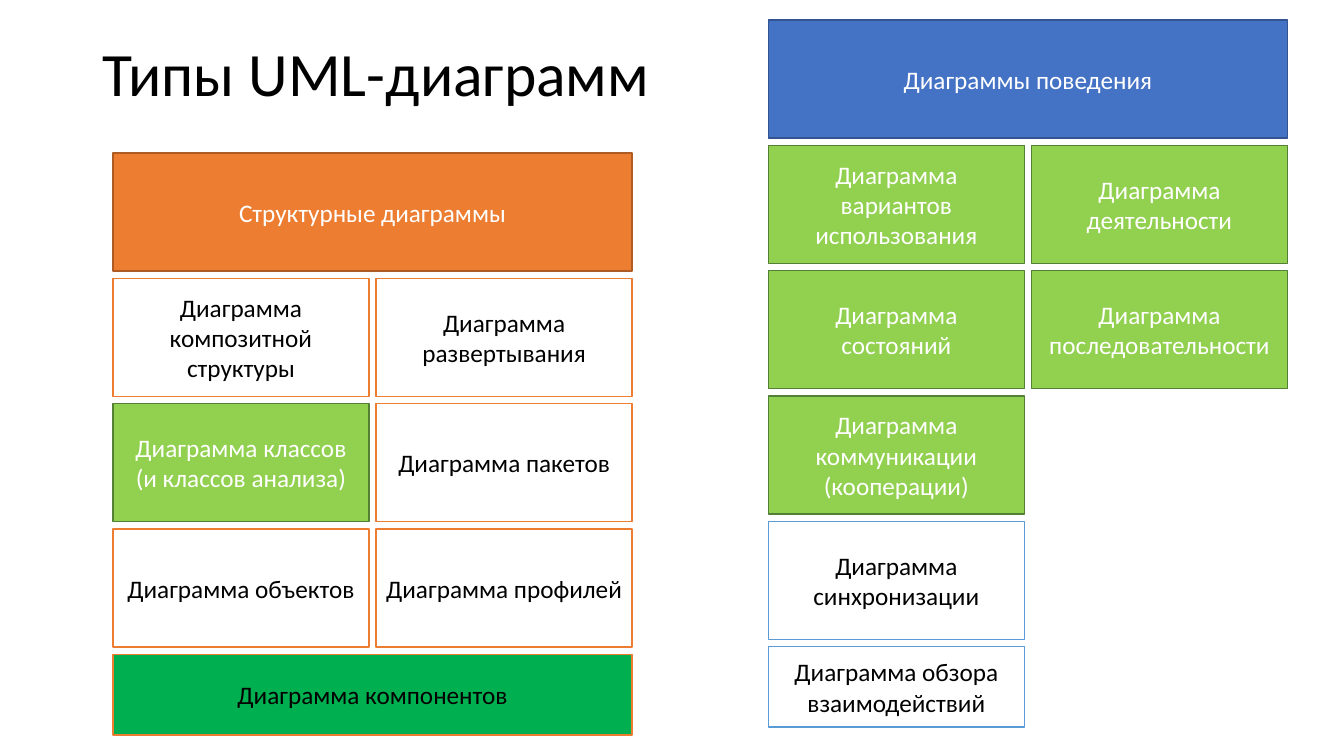
"""Builds a slide that sorts UML diagram types into structural and behavioural groups."""
from dataclasses import dataclass

from pptx import Presentation
from pptx.dml.color import RGBColor
from pptx.enum.shapes import MSO_SHAPE as Shape
from pptx.enum.text import MSO_ANCHOR as Anchor, PP_ALIGN as Align
from pptx.util import Inches, Pt


@dataclass(frozen=True)
class Theme:
    font: str = "Calibri"
    title_size: int = 44
    box_size: int = 18
    black: str = "000000"
    white: str = "FFFFFF"
    orange: str = "ED7D31"
    dark_orange: str = "AF5C24"
    blue: str = "4472C4"
    dark_blue: str = "325491"
    light_blue: str = "5B9BD5"
    lime: str = "92D050"
    dark_green: str = "538035"
    green: str = "00B050"


theme = Theme()


def write(frame, text, size, color, align):
    frame.text = text
    frame.word_wrap = True
    frame.vertical_anchor = Anchor.MIDDLE
    para = frame.paragraphs[0]
    para.alignment = align
    font = para.runs[0].font
    font.name = theme.font
    font.size = Pt(size)
    font.color.rgb = RGBColor.from_string(color)


deck = Presentation()
deck.slide_width, deck.slide_height = Inches(13.33), Inches(7.5)
page = deck.slides.add_slide(deck.slide_layouts[5])

title = page.shapes.title
title.left, title.top = Inches(0.92), Inches(0.03)
title.width, title.height = Inches(11.5), Inches(1.45)
write(title.text_frame, "Типы UML-диаграмм", theme.title_size, theme.black, Align.LEFT)
title.text_frame.paragraphs[0].line_spacing = 0.9

cell_width, gap = 2.54, 0.07
full_height, low_height = 1.17, 0.8
column_step, row_step = cell_width + gap, 1.243

structure_head = (theme.orange, theme.dark_orange, theme.white)
structure = (theme.white, theme.orange, theme.black)
components = (theme.green, theme.orange, theme.black)
behavior_head = (theme.blue, theme.dark_blue, theme.white)
behavior = (theme.white, theme.light_blue, theme.black)
studied = (theme.lime, theme.dark_green, theme.white)

groups = [
    (1.12, 1.52, [
        [("Структурные диаграммы", structure_head)],
        [("Диаграмма композитной структуры", structure), ("Диаграмма развертывания", structure)],
        [("Диаграмма классов (и классов анализа)", studied), ("Диаграмма пакетов", structure)],
        [("Диаграмма объектов", structure), ("Диаграмма профилей", structure)],
        [("Диаграмма компонентов", components)],
    ]),
    (7.62, 0.2, [
        [("Диаграммы поведения", behavior_head)],
        [("Диаграмма вариантов использования", studied), ("Диаграмма деятельности", studied)],
        [("Диаграмма состояний", studied), ("Диаграмма последовательности", studied)],
        [("Диаграмма коммуникации (кооперации)", studied)],
        [("Диаграмма синхронизации", behavior)],
        [("Диаграмма обзора взаимодействий", behavior)],
    ]),
]
wide_styles = (structure_head, components, behavior_head)

for left, top, rows in groups:
    for row, cells in enumerate(rows):
        height = low_height if row == len(rows) - 1 else full_height
        for column, (text, style) in enumerate(cells):
            fill, line, color = style
            width = cell_width + column_step if style in wide_styles else cell_width
            box = page.shapes.add_shape(
                Shape.RECTANGLE, Inches(left + column * column_step),
                Inches(top + row * row_step), Inches(width), Inches(height))
            box.shadow.inherit = False
            box.fill.solid()
            box.fill.fore_color.rgb = RGBColor.from_string(fill)
            box.line.color.rgb = RGBColor.from_string(line)
            box.line.width = Pt(1)
            write(box.text_frame, text, theme.box_size, color, Align.CENTER)

deck.save("out.pptx")
